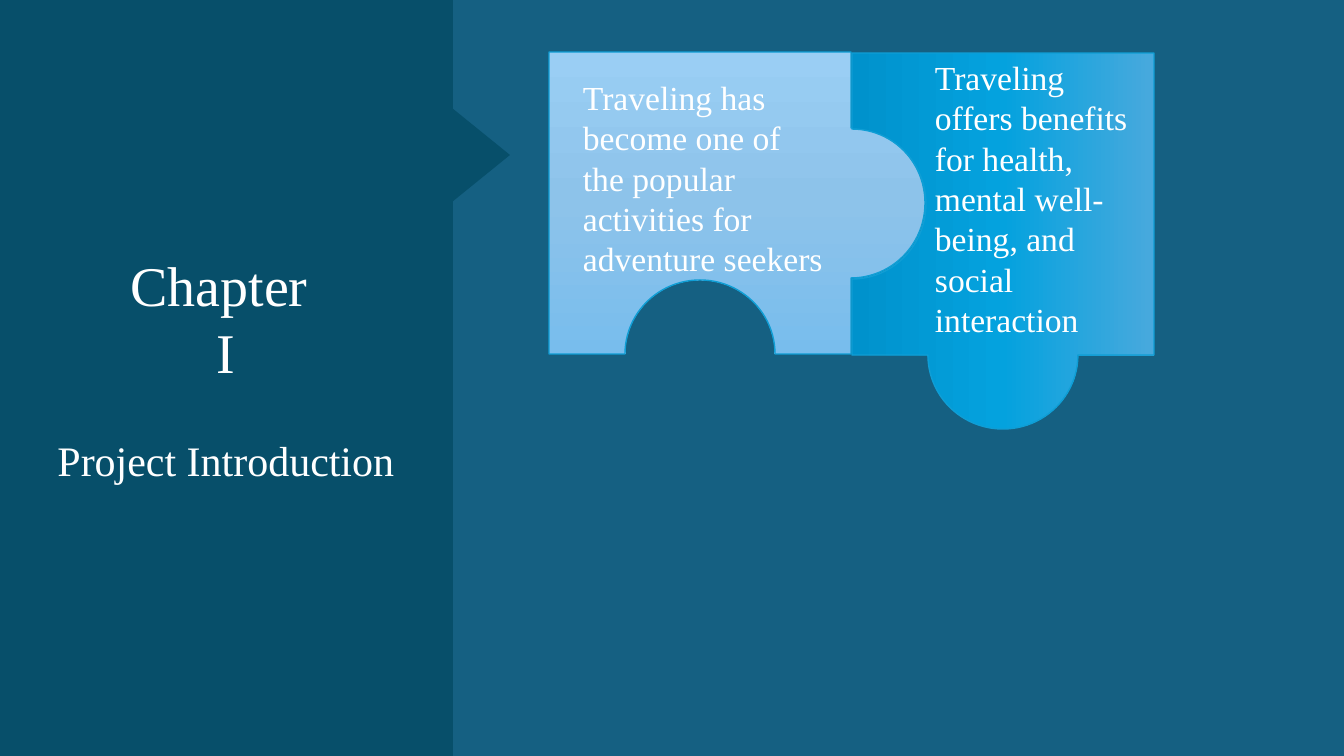
from copy import deepcopy
from math import cos, radians, sin

from lxml.etree import SubElement
from pptx import Presentation
from pptx.dml.color import RGBColor
from pptx.enum.shapes import MSO_SHAPE as Preset
from pptx.enum.text import MSO_ANCHOR as Anchor, PP_ALIGN as Align
from pptx.oxml.ns import qn
from pptx.util import Pt

FONT = "Times New Roman"
COLORS = {
    "background": "156082",
    "sidebar": "074F6A",
    "text": "FFFFFF",
    "outline": "0F9ED5",
}
HEADING = [("Chapter ", 40, 0), ("I", 40, 0), ("Project Introduction", 30, 36)]
PIECE_SIZE = 302
KNOB_HALF_WIDTH = 75
KNOB_DEPTH = 74
PIECES = [
    {
        "text": "Traveling has become one of the popular activities for adventure seekers",
        "box": (573, 72, 261, 214),
        "corner": (549, 52),
        "right_knob": (-90, 90),
        "bottom_knob": (0, -90),
        "left_knob": None,
        "gradient": ("9ACEF4", "8DC3EA", "78BDED"),
        "angle": 270,
    },
    {
        "text": "Traveling offers benefits for health, mental well-being, and social interaction",
        "box": (925, 52, 218, 295),
        "corner": (852, 53),
        "right_knob": None,
        "bottom_knob": (0, 90),
        "left_knob": (90, -90),
        "gradient": ("0092CC", "04A2DE", "48A9DD"),
        "angle": 0,
    },
]


def px(value):
    return round(value * 914400 / 100.8)


def color(name):
    return RGBColor.from_string(COLORS[name])


def style_paragraph(paragraph, size):
    paragraph.font.name = FONT
    paragraph.font.size = Pt(size)
    paragraph.font.color.rgb = color("text")


def add_sidebar_part(slide, preset, box, rotation=0):
    shape = slide.shapes.add_shape(preset, *map(px, box))
    shape.rotation = rotation
    shape.shadow.inherit = False
    shape.fill.solid()
    shape.fill.fore_color.rgb = color("sidebar")
    shape.line.fill.background()


def knob_points(center_x, center_y, radius_x, radius_y, knob):
    if knob is None:
        return []
    start, quarter = knob
    points = []
    for step in range(3):
        turn = radians(start + step * quarter)
        arc = (radius_x, radius_y, start + (step - 1) * quarter, quarter)
        point = (center_x + radius_x * cos(turn), center_y + radius_y * sin(turn))
        points.append((point, arc if step else None))
    return points


def piece_outline(piece):
    left, top = piece["corner"]
    right, bottom = left + PIECE_SIZE, top + PIECE_SIZE
    middle_x, middle_y = (left + right) / 2, (top + bottom) / 2
    upright = (KNOB_DEPTH, KNOB_HALF_WIDTH)
    flat = (KNOB_HALF_WIDTH, KNOB_DEPTH)
    return [
        ((left, top), None),
        ((right, top), None),
        *knob_points(right, middle_y, *upright, piece["right_knob"]),
        ((right, bottom), None),
        *knob_points(middle_x, bottom, *flat, piece["bottom_knob"]),
        ((left, bottom), None),
        *knob_points(left, middle_y, *upright, piece["left_knob"]),
    ]


def round_knobs(shape, arcs):
    segments = list(shape._element.iter(qn("a:lnTo")))
    for segment, arc in zip(segments, arcs):
        if arc:
            radius_x, radius_y, start, sweep = arc
            curve = SubElement(segment.getparent(), qn("a:arcTo"))
            curve.set("wR", str(px(radius_x)))
            curve.set("hR", str(px(radius_y)))
            curve.set("stAng", str(start % 360 * 60000))
            curve.set("swAng", str(sweep * 60000))
            segment.getparent().replace(segment, curve)


def fill_gradient(shape, stops, angle):
    shape.fill.gradient()
    shape.fill.gradient_angle = angle
    stop_list = shape._element.spPr.find(".//" + qn("a:gsLst"))
    stop_list.insert(1, deepcopy(stop_list[0]))
    for position, (stop, value) in enumerate(zip(shape.fill.gradient_stops, stops)):
        stop.position = position / 2
        stop.color.rgb = RGBColor.from_string(value)


def add_piece(slide, piece):
    points, arcs = zip(*piece_outline(piece))
    first, *others = [(px(x), px(y)) for x, y in points]
    builder = slide.shapes.build_freeform(*first)
    builder.add_line_segments(others, close=True)
    shape = builder.convert_to_shape()
    round_knobs(shape, arcs[1:])
    shape.shadow.inherit = False
    fill_gradient(shape, piece["gradient"], piece["angle"])
    shape.line.color.rgb = color("outline")
    shape.line.width = Pt(1)

    text_box = slide.shapes.add_textbox(*map(px, piece["box"]))
    text_box.text_frame.word_wrap = True
    paragraph = text_box.text_frame.paragraphs[0]
    paragraph.text = piece["text"]
    style_paragraph(paragraph, 24)


def place_heading(slide):
    title = slide.shapes.title
    title.left, title.top, title.width, title.height = map(px, (37, 245, 378, 298))
    frame = title.text_frame
    frame.word_wrap = True
    frame.vertical_anchor = Anchor.TOP
    frame.text = "\n".join(text for text, _, _ in HEADING)
    for paragraph, (_, size, gap) in zip(frame.paragraphs, HEADING):
        style_paragraph(paragraph, size)
        paragraph.alignment = Align.CENTER
        paragraph.space_before = Pt(gap)


def main():
    presentation = Presentation()
    presentation.slide_width, presentation.slide_height = px(1344), px(756)
    slide = presentation.slides.add_slide(presentation.slide_layouts[5])
    slide.background.fill.solid()
    slide.background.fill.fore_color.rgb = color("background")

    add_sidebar_part(slide, Preset.RECTANGLE, (0, 0, 453, 756))
    add_sidebar_part(slide, Preset.ISOSCELES_TRIANGLE, (434, 126, 94, 58), 90)
    title_element = slide.shapes.title._element
    title_element.getparent().append(title_element)
    place_heading(slide)
    for piece in PIECES:
        add_piece(slide, piece)
    presentation.save("out.pptx")


if __name__ == "__main__":
    main()
